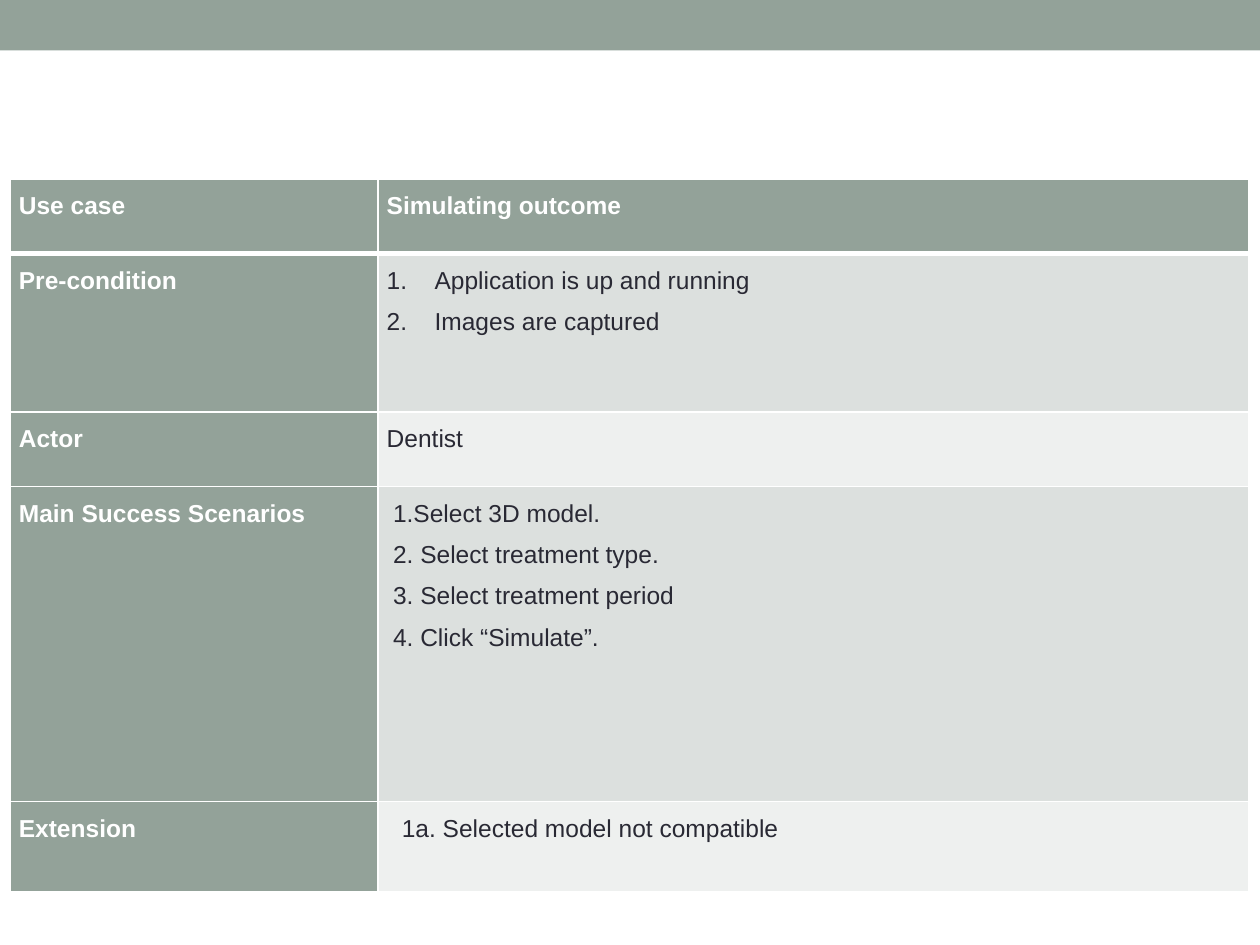
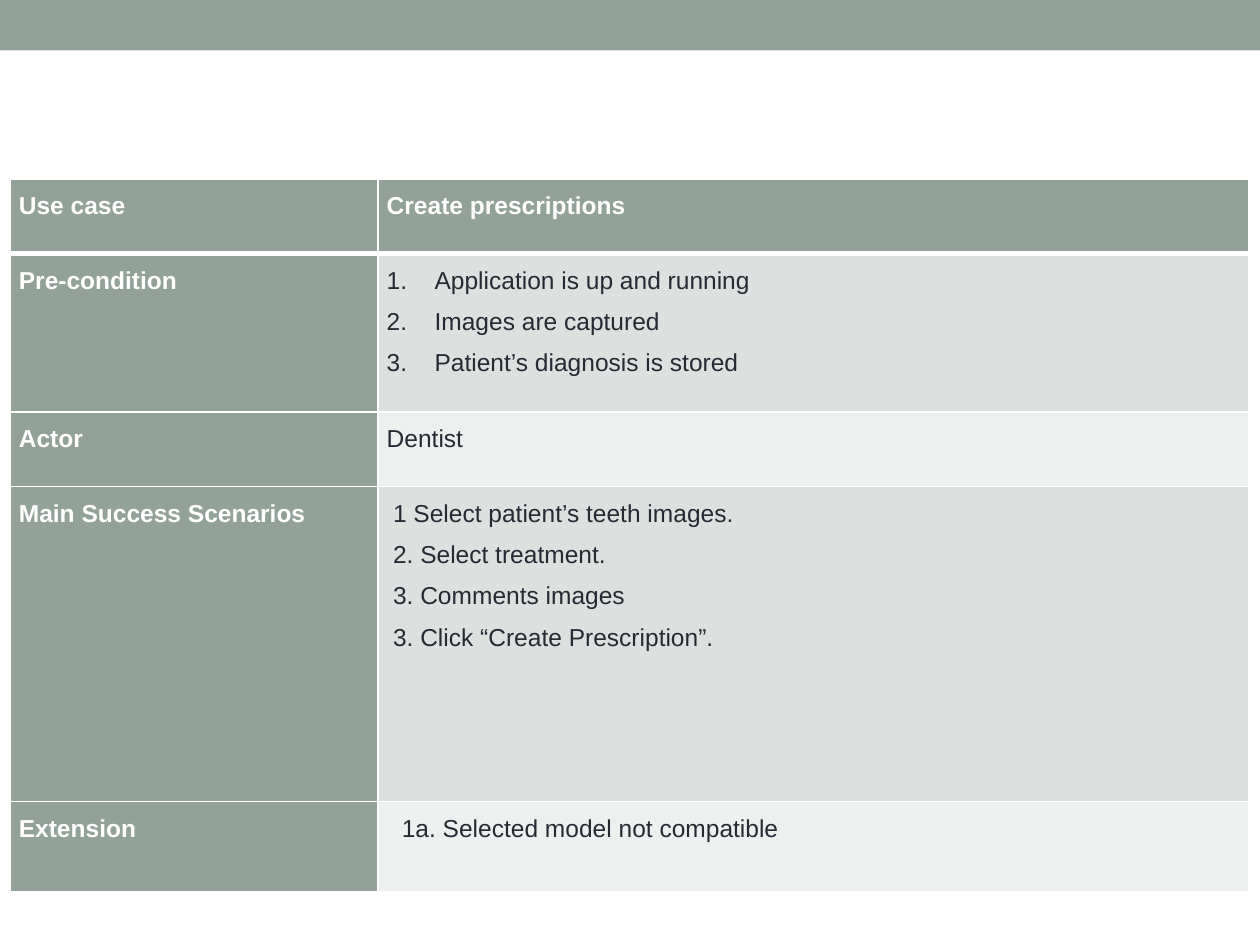
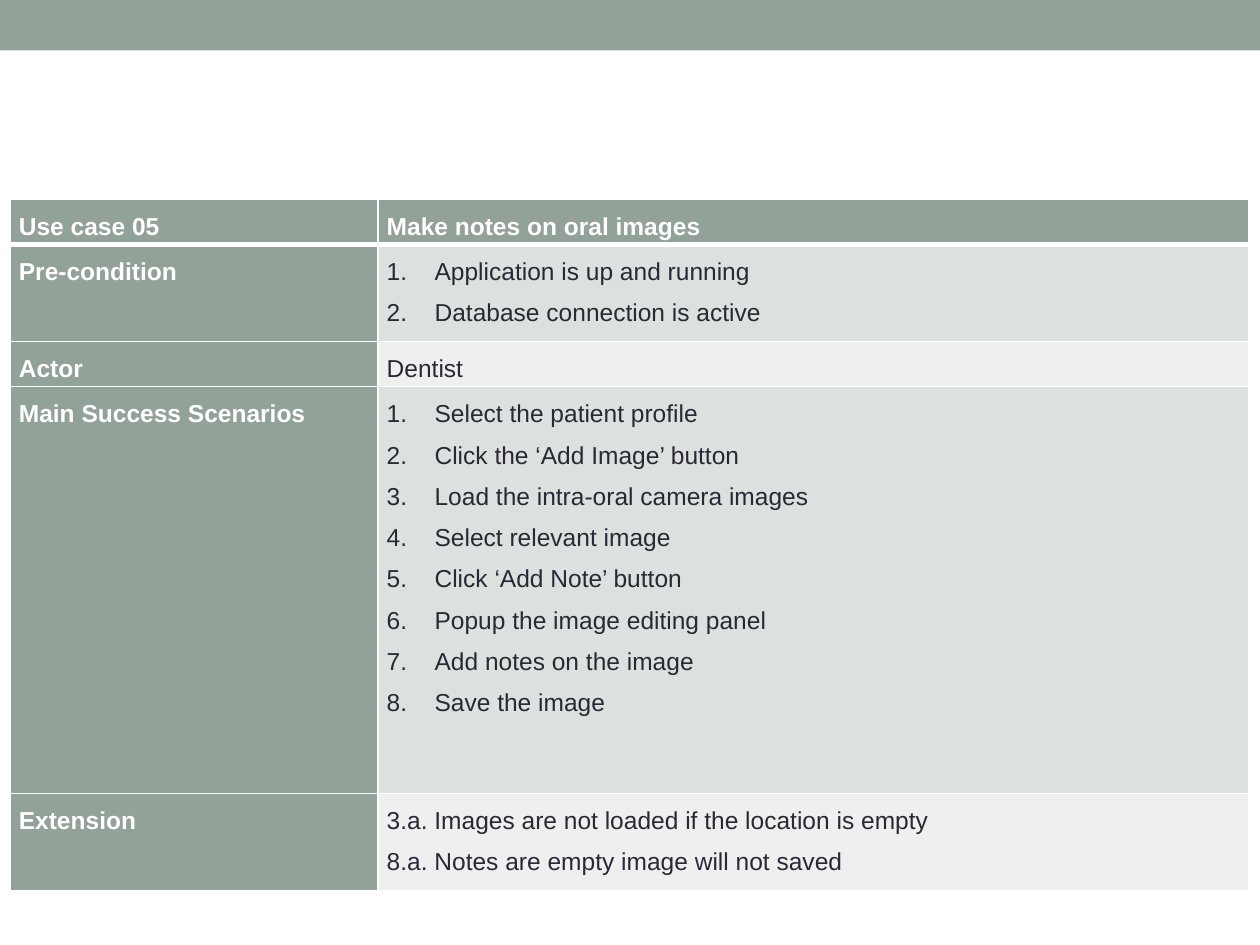
from pptx import Presentation
from pptx.dml.color import RGBColor as RGB
from pptx.enum.shapes import MSO_SHAPE as SHAPE
from pptx.oxml.ns import qn
from pptx.util import Inches, Pt
from lxml.etree import SubElement, Element

COLORS = {"sage": "93A299", "white": "FFFFFF", "ink": "292934",
          "band_dark": "DCE0DE", "band_light": "EEF0EF"}
FONT = {"name": "Arial", "size": Pt(14)}
LINE_SPACING = 1.5
COLUMNS = (2.92, 6.91)
TABLE_LEFT = 0.08
THIN, THICK = 1, 3

# side margin, paragraph indent, first-line indent, automatic numbers
CELL_STYLES = {
    "plain": (0.07, 0, 0, False),
    "numbered": (0.07, 0.38, -0.38, True),
    "inset": (0.12, 0, 0, False),
    "indented": (0.12, 0.07, 0, False),
}
LABELS = ("Pre-condition", "Actor", "Main Success Scenarios", "Extension")
TALL = {"top": 1.42, "rows": (0.59, 1.26, 0.59, 2.5, 0.72)}
COMPACT = {"top": 1.58, "rows": (0.36, 0.77, 0.36, 3.23, 0.77)}
ACTOR = ("plain", ["Dentist"])
INCOMPATIBLE = ("indented", ["1a. Selected model not compatible"])

USE_CASES = [
    (TALL, "Use case", "Simulating outcome", [
        ("numbered", ["Application is up and running", "Images are captured"]),
        ACTOR,
        ("inset", ["1.Select 3D model.", "2. Select treatment type.",
                   "3. Select treatment period", "4. Click “Simulate”."]),
        INCOMPATIBLE,
    ]),
    (TALL, "Use case", "Create prescriptions", [
        ("numbered", ["Application is up and running", "Images are captured",
                      "Patient’s diagnosis is stored"]),
        ACTOR,
        ("inset", ["1 Select patient’s teeth images.", "2. Select treatment.",
                   "3. Comments images", "3. Click “Create Prescription”."]),
        INCOMPATIBLE,
    ]),
    (COMPACT, "Use case 05", "Make notes on oral images", [
        ("numbered", ["Application is up and running",
                      "Database connection is active"]),
        ACTOR,
        ("numbered", ["Select the patient profile",
                      "Click the ‘Add Image’ button",
                      "Load the intra-oral camera images",
                      "Select relevant image",
                      "Click ‘Add Note’ button",
                      "Popup the image editing panel",
                      "Add notes on the image",
                      "Save the image"]),
        ("plain", ["3.a. Images are not loaded if the location is empty",
                   "8.a. Notes are empty image will not saved"]),
    ]),
]


def rgb(name):
    return RGB.from_string(COLORS[name])


def set_borders(cell, top, bottom):
    """Draw white borders; the lines must come before the fill in tcPr."""
    tcPr = cell._tc.get_or_add_tcPr()
    widths = {"lnL": THIN, "lnR": THIN, "lnT": top, "lnB": bottom}
    for i, (tag, width) in enumerate(widths.items()):
        ln = Element(qn(f"a:{tag}"), w=str(Pt(width)))
        fill = SubElement(ln, qn("a:solidFill"))
        SubElement(fill, qn("a:srgbClr"), val=COLORS["white"])
        tcPr.insert(i, ln)


def write_cell(cell, lines, style, fill, color, bold):
    margin, indent, first, numbered = CELL_STYLES[style]
    margins = {"margin_left": margin, "margin_right": margin,
               "margin_top": 0, "margin_bottom": 0}
    for name, value in margins.items():
        setattr(cell, name, Inches(value))
    cell.fill.solid()
    cell.fill.fore_color.rgb = rgb(fill)
    tf = cell.text_frame
    for i, line in enumerate(lines):
        p = tf.add_paragraph() if i else tf.paragraphs[0]
        pPr = p._p.get_or_add_pPr()
        pPr.set("marL", str(Inches(indent)))
        pPr.set("indent", str(Inches(first)))
        if numbered:
            SubElement(pPr, qn("a:buAutoNum"), type="arabicPeriod")
        p.line_spacing = LINE_SPACING
        r = p.add_run()
        r.text = line
        for name, value in {**FONT, "bold": bold}.items():
            setattr(r.font, name, value)
        r.font.color.rgb = rgb(color)


def add_use_case_table(slide, layout, label, name, details):
    heights = layout["rows"]
    frame = slide.shapes.add_table(
        len(heights), len(COLUMNS), Inches(TABLE_LEFT), Inches(layout["top"]),
        Inches(sum(COLUMNS)), Inches(sum(heights)))
    table = frame.table
    table.horz_banding = False
    for column, width in zip(table.columns, COLUMNS):
        column.width = Inches(width)
    for row, height in zip(table.rows, heights):
        row.height = Inches(height)

    rows = [(label, ("plain", [name]))] + list(zip(LABELS, details))
    for i, (heading, (style, lines)) in enumerate(rows):
        head, body = table.cell(i, 0), table.cell(i, 1)
        write_cell(head, [heading], "plain", "sage", "white", True)
        if i == 0:
            write_cell(body, lines, style, "sage", "white", True)
        else:
            band = "band_dark" if i % 2 else "band_light"
            write_cell(body, lines, style, band, "ink", False)
        for cell in (head, body):
            set_borders(cell, THICK if i == 1 else THIN,
                        THICK if i == 0 else THIN)


def add_top_band(slide, width):
    band = slide.shapes.add_shape(SHAPE.RECTANGLE, 0, 0, width, Inches(0.4))
    band.shadow.inherit = False
    band.fill.solid()
    band.fill.fore_color.rgb = rgb("sage")
    band.line.fill.background()


def main():
    prs = Presentation()
    prs.slide_width, prs.slide_height = Inches(10), Inches(7.5)
    blank = prs.slide_layouts[6]
    for use_case in USE_CASES:
        slide = prs.slides.add_slide(blank)
        add_top_band(slide, prs.slide_width)
        add_use_case_table(slide, *use_case)
    prs.save("out.pptx")


if __name__ == "__main__":
    main()
